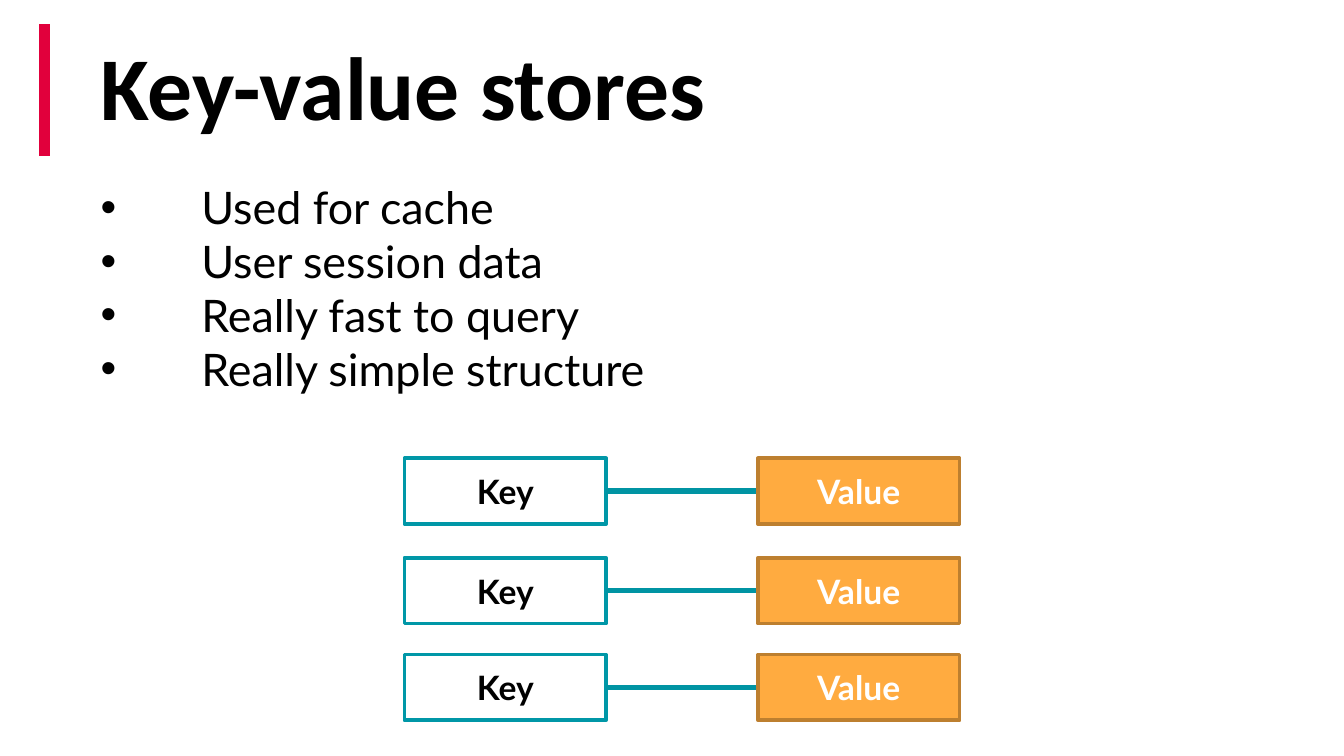
from lxml import etree
from pptx import Presentation
from pptx.dml.color import RGBColor
from pptx.enum.shapes import MSO_CONNECTOR, MSO_SHAPE
from pptx.enum.text import MSO_ANCHOR, PP_ALIGN
from pptx.oxml.ns import qn
from pptx.util import Inches, Pt

RECTANGLE = MSO_SHAPE.RECTANGLE
STRAIGHT = MSO_CONNECTOR.STRAIGHT
MIDDLE = MSO_ANCHOR.MIDDLE
LEFT, CENTER = PP_ALIGN.LEFT, PP_ALIGN.CENTER
LEFT_SIDE, RIGHT_SIDE = 1, 3

# Content
TITLE = "Key-value stores"
POINTS = [
    "Used for cache",
    "User session data",
    "Really fast to query",
    "Really simple structure",
]
PAIRS = [("Key", "Value")] * 3

THEME = {
    "title_font": "Calibri", "body_font": "Lato",
    "title_size": 48, "body_size": 24, "box_size": 18,
    "text": "000000", "accent": "E1003C", "link": "0094A3",
    "key": {"fill": "FFFFFF", "line": "0097A7", "text": "000000"},
    "value": {"fill": "FFAB40", "line": "BD7F2F", "text": "FFFFFF"},
}

# Layout, in inches; the slide is 16:9
SLIDE_WIDTH = 10
SLIDE_HEIGHT = SLIDE_WIDTH * 9 / 16
PAIR_TOPS = [3.41, 4.15, 4.87]
KEY_LEFT, VALUE_LEFT = 3.01, 5.64
BOX_WIDTH, BOX_HEIGHT = 1.5, 0.49
BULLET_INDENT = 0.75


def color(value):
    return RGBColor.from_string(value)


def write(frame, lines, font, size, ink, bold=False, align=LEFT):
    frame.word_wrap = True
    frame.text = "\n".join(lines)
    for paragraph in frame.paragraphs:
        paragraph.alignment = align
        for run in paragraph.runs:
            run.font.name = font
            run.font.size = Pt(size)
            run.font.bold = bold
            run.font.color.rgb = color(ink)


def add_text(slide, area, *text, **style):
    frame = slide.shapes.add_textbox(*map(Inches, area)).text_frame
    frame.margin_left = frame.margin_right = Inches(0.1)
    frame.margin_top = frame.margin_bottom = Inches(0.1)
    write(frame, *text, **style)
    return frame


def add_bullets(frame):
    for paragraph in frame.paragraphs:
        properties = paragraph._p.get_or_add_pPr()
        properties.set("marL", str(Inches(BULLET_INDENT)))
        properties.set("indent", str(-Inches(BULLET_INDENT)))
        bullet_color = etree.SubElement(properties, qn("a:buClr"))
        etree.SubElement(bullet_color, qn("a:srgbClr"), val=THEME["text"])
        etree.SubElement(properties, qn("a:buFont"), typeface="Arial")
        etree.SubElement(properties, qn("a:buChar"), char="•")


def add_line(slide, start, end, ink, width):
    line = slide.shapes.add_connector(STRAIGHT, *map(Inches, start + end))
    line.line.color.rgb = color(ink)
    line.line.width = Pt(width)
    etree.SubElement(line._element.spPr, qn("a:effectLst"))
    return line


def add_box(slide, left, top, label, style):
    area = map(Inches, (left, top, BOX_WIDTH, BOX_HEIGHT))
    box = slide.shapes.add_shape(RECTANGLE, *area)
    box.shadow.inherit = False
    box.fill.solid()
    box.fill.fore_color.rgb = color(style["fill"])
    box.line.color.rgb = color(style["line"])
    box.line.width = Pt(2)
    box.text_frame.vertical_anchor = MIDDLE
    write(box.text_frame, [label], THEME["body_font"], THEME["box_size"],
          style["text"], bold=True, align=CENTER)
    return box


def main():
    presentation = Presentation()
    presentation.slide_width = Inches(SLIDE_WIDTH)
    presentation.slide_height = Inches(SLIDE_HEIGHT)
    slide = presentation.slides.add_slide(presentation.slide_layouts[6])

    # Title with accent bar
    add_line(slide, (0.33, 0.18), (0.33, 1.16), THEME["accent"], 6)
    add_text(slide, (0.65, 0.13, 5.47, 1.07), [TITLE], THEME["title_font"],
             THEME["title_size"], THEME["text"], bold=True)

    # Bullet points
    points = add_text(slide, (0.65, 1.24, 8.87, 1.65), POINTS,
                      THEME["body_font"], THEME["body_size"], THEME["text"])
    add_bullets(points)

    # Key-value pairs
    for top, (key, value) in zip(PAIR_TOPS, PAIRS):
        key_box = add_box(slide, KEY_LEFT, top, key, THEME["key"])
        middle = top + BOX_HEIGHT / 2
        link = add_line(slide, (KEY_LEFT + BOX_WIDTH, middle),
                        (VALUE_LEFT, middle), THEME["link"], 3)
        value_box = add_box(slide, VALUE_LEFT, top, value, THEME["value"])
        link.begin_connect(key_box, RIGHT_SIDE)
        link.end_connect(value_box, LEFT_SIDE)

    presentation.save("out.pptx")


if __name__ == "__main__":
    main()
